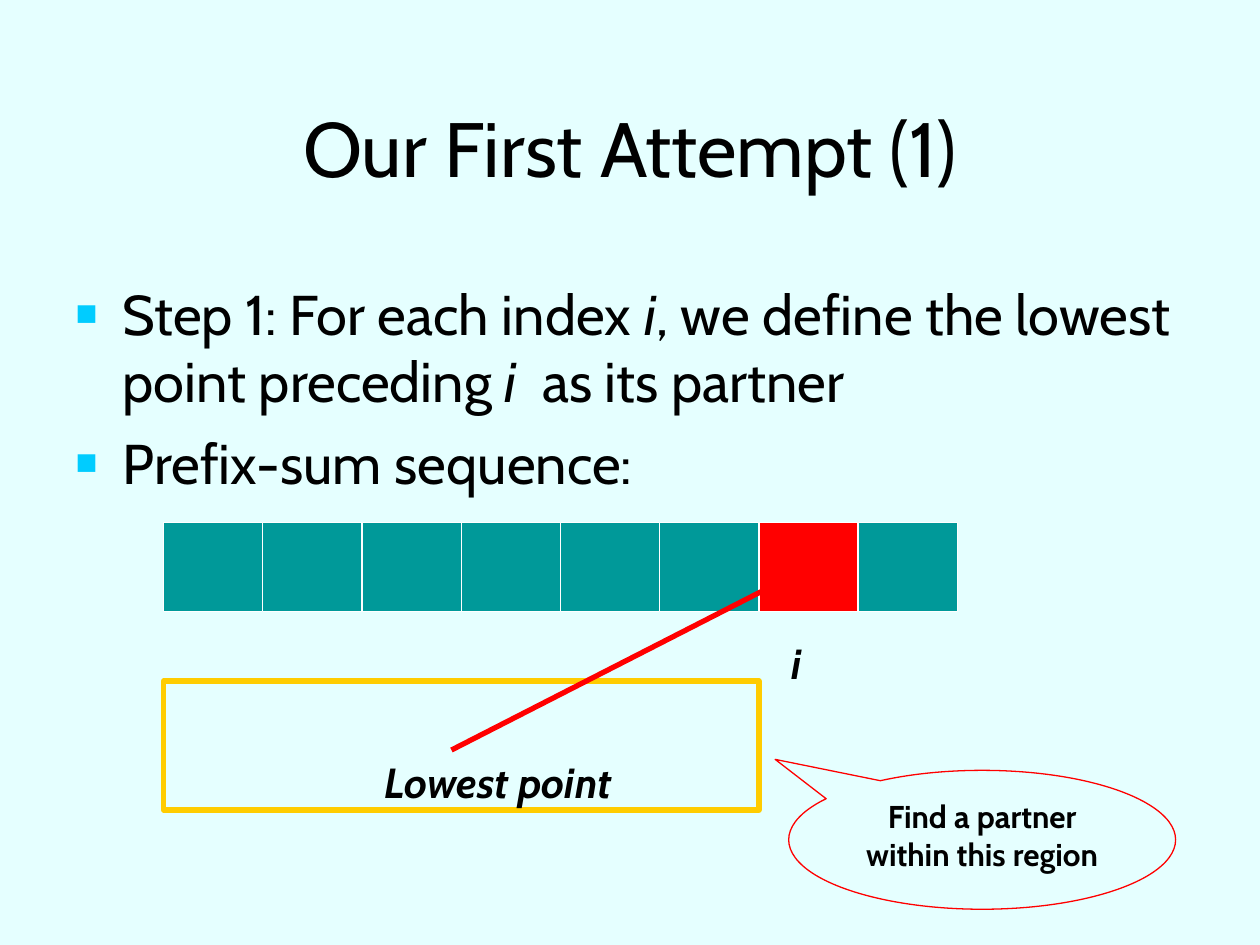
from dataclasses import dataclass

import lxml.etree
import pptx
import pptx.dml.color
import pptx.enum.shapes
import pptx.enum.text
import pptx.oxml.ns
import pptx.util
from pptx.util import Cm, Pt

RGBColor = pptx.dml.color.RGBColor
Align = pptx.enum.text.PP_ALIGN
Anchor = pptx.enum.text.MSO_ANCHOR
Shape = pptx.enum.shapes.MSO_SHAPE

PALE_CYAN = RGBColor(0xE5, 0xFF, 0xFF)
BLACK = RGBColor(0, 0, 0)
WHITE = RGBColor(0xFF, 0xFF, 0xFF)
TEAL = RGBColor(0, 0x99, 0x99)
RED = RGBColor(0xFF, 0, 0)
GOLD = RGBColor(0xFF, 0xCC, 0)
BULLET_BLUE = "00CCFF"
TEXT_FONT = "Cabin"

CELL_COUNT = 8
INDEX_CELL = 6
ROW_LEFT, ROW_TOP = 3.3, 10.53
CELL_WIDTH, CELL_HEIGHT = 2.0, 1.8
FIRST_LEFT, MIDDLE_LEFT, LAST_LEFT = ROW_LEFT, 3.89, ROW_LEFT + CELL_WIDTH


@dataclass
class Frame:
    left: float
    top: float
    width: float
    height: float

    def lengths(self):
        return Cm(self.left), Cm(self.top), Cm(self.width), Cm(self.height)


@dataclass
class Label:
    text: str
    frame: Frame


LABELS = [
    Label("i", Frame(15.7, 12.73, 3, 1.27)),
    Label("Lowest point", Frame(7.5, 15.13, 6.6, 1.27)),
]

STEPS = [
    [
        ("Step 1: For each index ", False),
        ("i", True),
        (", we define the lowest point preceding ", False),
        ("i", True),
        ("  as its partner", False),
    ],
    [("Prefix-sum sequence:", False)],
]


def style_paragraph(para, size: int, bold: bool = False) -> None:
    para.font.size = Pt(size)
    para.font.name = TEXT_FONT
    para.font.color.rgb = BLACK
    para.font.bold = bold


def place(shape, frame: Frame) -> None:
    shape.left, shape.top, shape.width, shape.height = frame.lengths()


def add_bullet(para) -> None:
    properties = para._p.get_or_add_pPr()
    properties.set("marL", str(Cm(0.95)))
    properties.set("indent", str(Cm(-0.95)))
    tag = pptx.oxml.ns.qn
    color = lxml.etree.SubElement(properties, tag("a:buClr"))
    lxml.etree.SubElement(color, tag("a:srgbClr"), val=BULLET_BLUE)
    lxml.etree.SubElement(properties, tag("a:buSzPct"), val="65000")
    lxml.etree.SubElement(properties, tag("a:buFont"), typeface="Arial")
    lxml.etree.SubElement(properties, tag("a:buChar"), char="■")


def fill_title(title) -> None:
    place(title, Frame(1.27, 1.06, 22.86, 3.8))
    title.text_frame.text = "Our First Attempt (1)"
    title.text_frame.vertical_anchor = Anchor.MIDDLE
    para = title.text_frame.paragraphs[0]
    para.alignment = Align.CENTER
    style_paragraph(para, 44)


def fill_body(body) -> None:
    place(body, Frame(1.27, 5.51, 22.86, 11.43))
    box = body.text_frame
    box.auto_size = pptx.enum.text.MSO_AUTO_SIZE.NONE
    for number, step in enumerate(STEPS):
        para = box.add_paragraph() if number else box.paragraphs[0]
        add_bullet(para)
        para.space_before = Pt(8 if number else 0)
        style_paragraph(para, 32)
        for text, italic in step:
            span = para.add_run()
            span.text = text
            span.font.italic = italic


def add_outline(page, kind: Shape, frame: Frame, line: RGBColor, weight: float,
                fill: RGBColor | None = None):
    shape = page.shapes.add_shape(kind, *frame.lengths())
    shape.shadow.inherit = False
    if fill is None:
        shape.fill.background()
    else:
        shape.fill.solid()
        shape.fill.fore_color.rgb = fill
    shape.line.color.rgb = line
    shape.line.width = Pt(weight)
    return shape


def add_label(page, label: Label) -> None:
    box = page.shapes.add_textbox(*label.frame.lengths()).text_frame
    box.word_wrap = True
    box.text = label.text
    para = box.paragraphs[0]
    style_paragraph(para, 24, bold=True)
    para.font.italic = True


def add_cell(page, left: float, right: float, fill: RGBColor) -> None:
    frame = Frame(left, ROW_TOP, right - left, CELL_HEIGHT)
    add_outline(page, Shape.RECTANGLE, frame, WHITE, 0.75, fill)


def add_sequence(page) -> None:
    lefts = [FIRST_LEFT] + [MIDDLE_LEFT] * (CELL_COUNT - 2) + [LAST_LEFT]
    for index in reversed(range(CELL_COUNT)):
        add_cell(page, lefts[index], ROW_LEFT + (index + 1) * CELL_WIDTH, TEAL)


def add_index_cell(page) -> None:
    left = ROW_LEFT + INDEX_CELL * CELL_WIDTH
    add_cell(page, left, left + CELL_WIDTH, RED)


def add_partner_line(page) -> None:
    line = page.shapes.add_connector(
        pptx.enum.shapes.MSO_CONNECTOR.STRAIGHT, Cm(16.51), Cm(11.33), Cm(9.1), Cm(15.12))
    line.line.color.rgb = RED
    line.line.width = Pt(3)
    lxml.etree.SubElement(line._element.spPr, pptx.oxml.ns.qn("a:effectLst"))


def add_callout(page) -> None:
    callout = add_outline(
        page, Shape.OVAL_CALLOUT, Frame(15.9, 15.53, 7.8, 2.8), RED, 0.75)
    callout.adjustments[0] = -0.535
    callout.adjustments[1] = -0.579
    box = callout.text_frame
    box.word_wrap = True
    box.vertical_anchor = Anchor.TOP
    box.text = "Find a partner within this region"
    para = box.paragraphs[0]
    para.alignment = Align.CENTER
    style_paragraph(para, 18, bold=True)


def main() -> None:
    deck = pptx.Presentation()
    deck.slide_width, deck.slide_height = Cm(25.4), Cm(19.05)
    page = deck.slides.add_slide(deck.slide_layouts[1])
    page.background.fill.solid()
    page.background.fill.fore_color.rgb = PALE_CYAN
    fill_title(page.shapes.title)
    fill_body(page.placeholders[1])
    add_sequence(page)
    add_outline(page, Shape.RECTANGLE, Frame(ROW_LEFT, 13.73, 12, 2.6), GOLD, 3)
    add_index_cell(page)
    add_partner_line(page)
    for label in LABELS:
        add_label(page, label)
    add_callout(page)
    deck.save("out.pptx")


if __name__ == "__main__":
    main()
